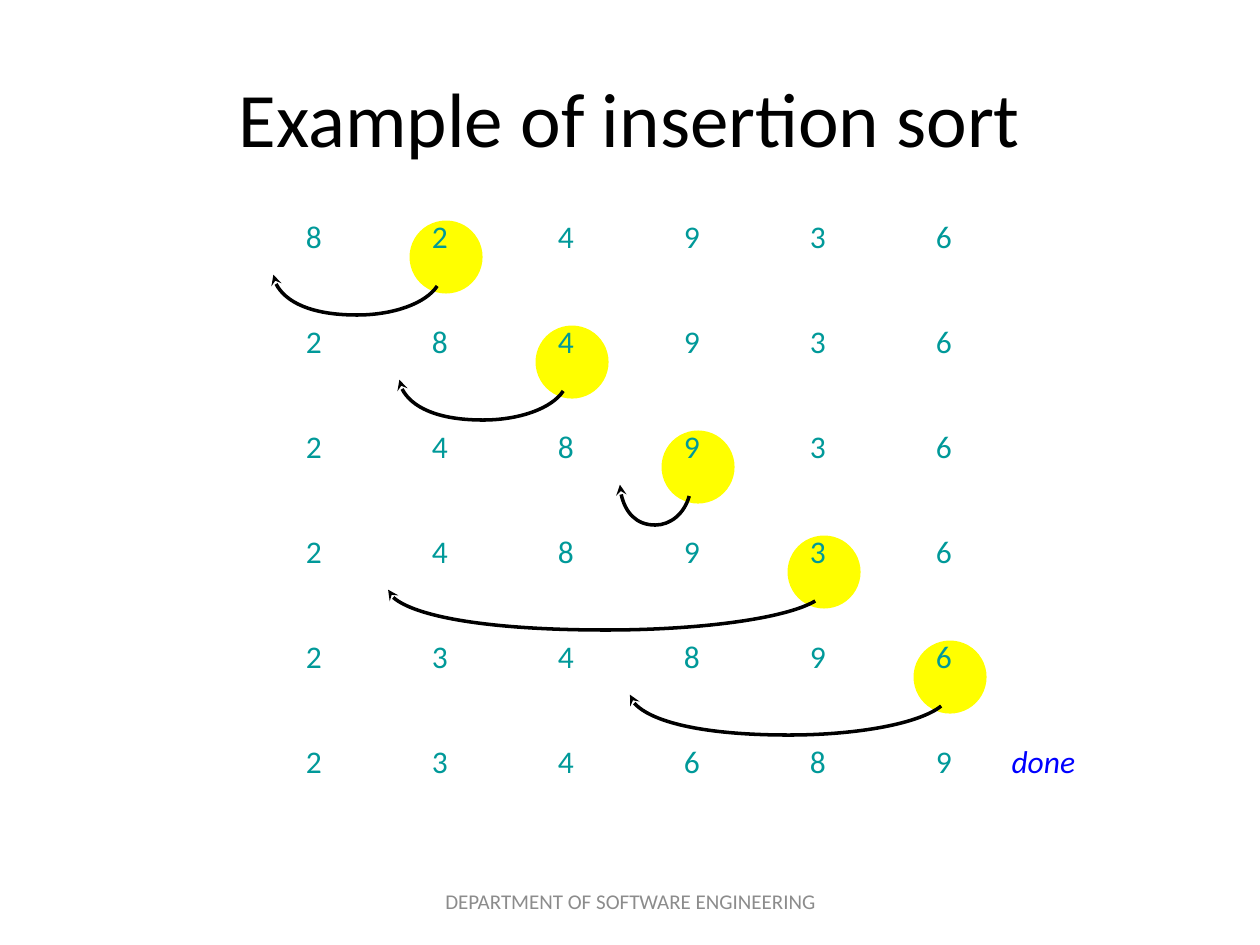
from lxml.etree import SubElement
from pptx import Presentation
from pptx.dml.color import RGBColor
from pptx.enum.shapes import MSO_SHAPE
from pptx.enum.text import MSO_ANCHOR, PP_ALIGN
from pptx.oxml.ns import qn
from pptx.util import Inches, Pt

TITLE = "Example of insertion sort"
FOOTER = "DEPARTMENT OF SOFTWARE ENGINEERING"
# Values in each pass, column of the value being inserted, x of the arrow tip
PASSES = [
    ("824936", 1, 2.17),
    ("284936", 2, 3.17),
    ("248936", 3, 4.92),
    ("248936", 4, 3.08),
    ("234896", 5, 5.0),
    ("234689", None, None),
]
LEFT, TOP = 2.33, 1.67
COLUMN_STEP, ROW_STEP = 1, 5 / 6
NUMBER_WIDTH, NUMBER_HEIGHT = 0.42, 0.63
CIRCLE_SIZE, CIRCLE_OFFSET = 0.58, (0.92 - 1, 0.08)
ARROW_START = 0.14
# Two Bezier curves: share of the way from tip to start, drop below the row top
ARROW_POINTS = [(1, 0.6), (0.93, 0.74), (0.73, 0.83), (0.51, 0.83),
                (0.23, 0.83), (0.01, 0.69), (0, 0.51)]


def color(hex_code):
    return RGBColor.from_string(hex_code)


def write(shape, text, size=18, fill="009999", align=PP_ALIGN.LEFT,
          anchor=MSO_ANCHOR.TOP, italic=False):
    frame = shape.text_frame
    frame.word_wrap = True
    frame.vertical_anchor = anchor
    paragraph = frame.paragraphs[0]
    paragraph.text = text
    paragraph.alignment = align
    font = paragraph.font
    font.name, font.size, font.italic = "Calibri", Pt(size), italic
    font.color.rgb = color(fill)


def add_text(slide, box, text, **format_options):
    write(slide.shapes.add_textbox(*map(Inches, box)), text, **format_options)


def add_circle(slide, x, y):
    circle = slide.shapes.add_shape(
        MSO_SHAPE.OVAL, Inches(x), Inches(y), Inches(CIRCLE_SIZE), Inches(CIRCLE_SIZE))
    circle.shadow.inherit = False
    circle.fill.solid()
    circle.fill.fore_color.rgb = color("FFFF00")
    circle.line.fill.background()


def add_curved_arrow(slide, start_x, tip_x, y):
    points = [(Inches(tip_x + share * (start_x - tip_x)), Inches(y + drop))
              for share, drop in ARROW_POINTS]
    builder = slide.shapes.build_freeform(*points[0])
    builder.add_line_segments(points[1:], close=False)
    arrow = builder.convert_to_shape()
    arrow.shadow.inherit = False
    arrow.fill.background()
    arrow.line.color.rgb = color("000000")
    arrow.line.width = Pt(2)

    # Turn each three straight segments into one cubic curve
    outline = next(arrow.element.iter(qn("a:path")))
    segments = outline.findall(qn("a:lnTo"))
    for first in range(0, len(segments), 3):
        curve = SubElement(outline, qn("a:cubicBezTo"))
        for segment in segments[first:first + 3]:
            curve.append(segment[0])
            outline.remove(segment)
    SubElement(arrow.line._get_or_add_ln(), qn("a:tailEnd"), type="stealth")


def main():
    presentation = Presentation()
    presentation.slide_width, presentation.slide_height = Inches(10), Inches(7.5)
    slide = presentation.slides.add_slide(presentation.slide_layouts[5])

    title = slide.shapes.title
    title.left, title.top, title.width, title.height = map(Inches, (0.5, 0.3, 9, 1.25))
    write(title, TITLE, size=44, fill="000000", align=PP_ALIGN.CENTER,
          anchor=MSO_ANCHOR.MIDDLE)

    for row, (values, inserted, tip_x) in enumerate(PASSES):
        y = TOP + row * ROW_STEP
        if inserted is not None:
            inserted_x = LEFT + inserted * COLUMN_STEP
            add_circle(slide, inserted_x + CIRCLE_OFFSET[0], y + CIRCLE_OFFSET[1])
        for column, value in enumerate(values):
            x = LEFT + column * COLUMN_STEP
            add_text(slide, (x, y, NUMBER_WIDTH, NUMBER_HEIGHT), value)
        if inserted is not None:
            add_curved_arrow(slide, inserted_x + ARROW_START, tip_x, y)

    add_text(slide, (7.93, y, 1.07, NUMBER_HEIGHT), "done", fill="0000FF", italic=True)
    add_text(slide, (3.42, 6.95, 3.17, 0.4), FOOTER, size=12, fill="8C8C8C",
             align=PP_ALIGN.CENTER, anchor=MSO_ANCHOR.MIDDLE)
    presentation.save("out.pptx")


if __name__ == "__main__":
    main()
